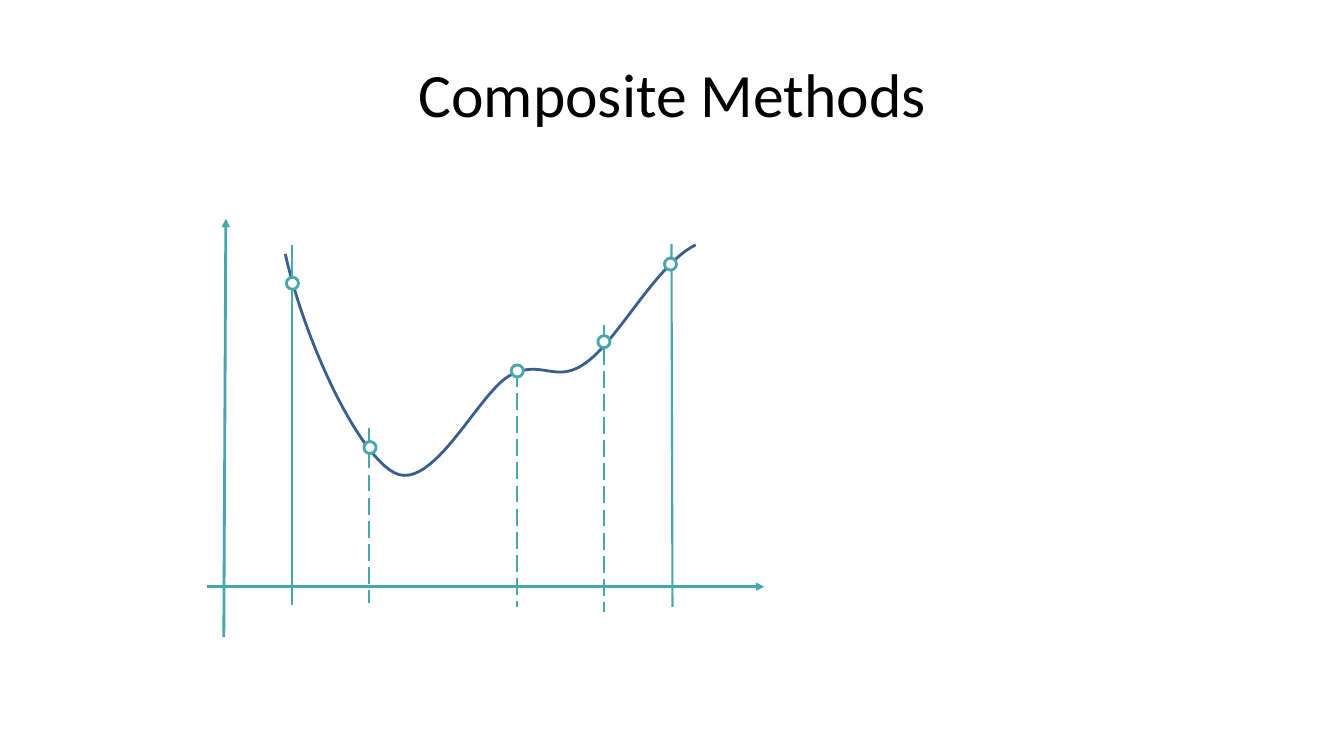
"""Build the Composite Methods slide: a curve with sample points and axes."""
from lxml import etree
from pptx import Presentation
from pptx.dml.color import RGBColor
from pptx.enum.dml import MSO_LINE
from pptx.enum.shapes import MSO_CONNECTOR, MSO_SHAPE
from pptx.enum.text import MSO_ANCHOR, PP_ALIGN
from pptx.oxml.ns import qn
from pptx.util import Emu, Pt

STRAIGHT = MSO_CONNECTOR.STRAIGHT
OVAL = MSO_SHAPE.OVAL
LONG_DASH = MSO_LINE.LONG_DASH
MIDDLE = MSO_ANCHOR.MIDDLE
CENTER = PP_ALIGN.CENTER

PX = 9144
COLORS = {"curve": "3A5F8C", "teal": "48A6AD", "white": "FFFFFF", "black": "000000"}

TITLE = "Composite Methods"
TITLE_BOX = (67, 30, 1200, 125)
CURVE_START = (283, 252)
CURVE_BENDS = [
    ((302, 338), (354, 449), (391, 469)),
    ((429, 489), (474, 391), (505, 373)),
    ((537, 355), (551, 382), (581, 360)),
    ((612, 339), (651, 262), (690, 243)),
]
BEND_STEPS = 24
AXES = [((205, 582), (758, 582)), ((222, 632), (224, 217))]
LIMITS = [((290, 243), (290, 600)), ((666, 242), (667, 602))]
DIVISIONS = [((366, 425), (366, 598)), ((513, 367), (513, 602)), ((599, 322), (599, 607))]
MARKERS = [(367, 444), (513, 368), (599, 339), (290, 281), (665, 262)]
MARKER_SIZE = 12


def px(*lengths):
    return [Emu(round(length * PX)) for length in lengths]


def color(name):
    return RGBColor.from_string(COLORS[name])


def style_line(shape, name, width):
    shape.line.color.rgb = color(name)
    shape.line.width = Pt(width)


def bend_points(start, first, second, end):
    for step in range(1, BEND_STEPS + 1):
        t = step / BEND_STEPS
        weights = ((1 - t) ** 3, 3 * t * (1 - t) ** 2, 3 * t ** 2 * (1 - t), t ** 3)
        knots = (start, first, second, end)
        yield px(*(sum(w * knot[axis] for w, knot in zip(weights, knots)) for axis in (0, 1)))


def add_curve(page):
    points = []
    start = CURVE_START
    for bend in CURVE_BENDS:
        points.extend(bend_points(start, *bend))
        start = bend[-1]
    builder = page.shapes.build_freeform(*px(*CURVE_START))
    builder.add_line_segments(points, close=False)
    curve = builder.convert_to_shape()
    curve.shadow.inherit = False
    curve.fill.background()
    style_line(curve, "curve", 2)


def add_title(page):
    box = page.shapes.add_textbox(*px(*TITLE_BOX))
    frame = box.text_frame
    frame.word_wrap = True
    frame.vertical_anchor = MIDDLE
    para = frame.paragraphs[0]
    para.text = TITLE
    para.alignment = CENTER
    para.font.name = "Calibri"
    para.font.size = Pt(44)
    para.font.color.rgb = color("black")


def add_line(page, start, end, width=1.5, dashed=False, arrow=False):
    line = page.shapes.add_connector(STRAIGHT, *px(*start, *end))
    style_line(line, "teal", width)
    if dashed:
        line.line.dash_style = LONG_DASH
    properties = line._element.spPr
    if arrow:
        etree.SubElement(properties.find(qn("a:ln")), qn("a:tailEnd"), type="triangle")
    etree.SubElement(properties, qn("a:effectLst"))


def add_marker(page, x, y):
    half = MARKER_SIZE / 2
    marker = page.shapes.add_shape(OVAL, *px(x - half, y - half, MARKER_SIZE, MARKER_SIZE))
    marker.shadow.inherit = False
    marker.fill.solid()
    marker.fill.fore_color.rgb = color("white")
    style_line(marker, "teal", 2)


def main():
    deck = Presentation()
    deck.slide_width, deck.slide_height = px(1333, 750)
    page = deck.slides.add_slide(deck.slide_layouts[6])
    add_curve(page)
    add_title(page)
    for axis in AXES:
        add_line(page, *axis, width=2, arrow=True)
    for limit in LIMITS:
        add_line(page, *limit)
    for division in DIVISIONS:
        add_line(page, *division, dashed=True)
    for marker in MARKERS:
        add_marker(page, *marker)
    deck.save("out.pptx")


if __name__ == "__main__":
    main()
